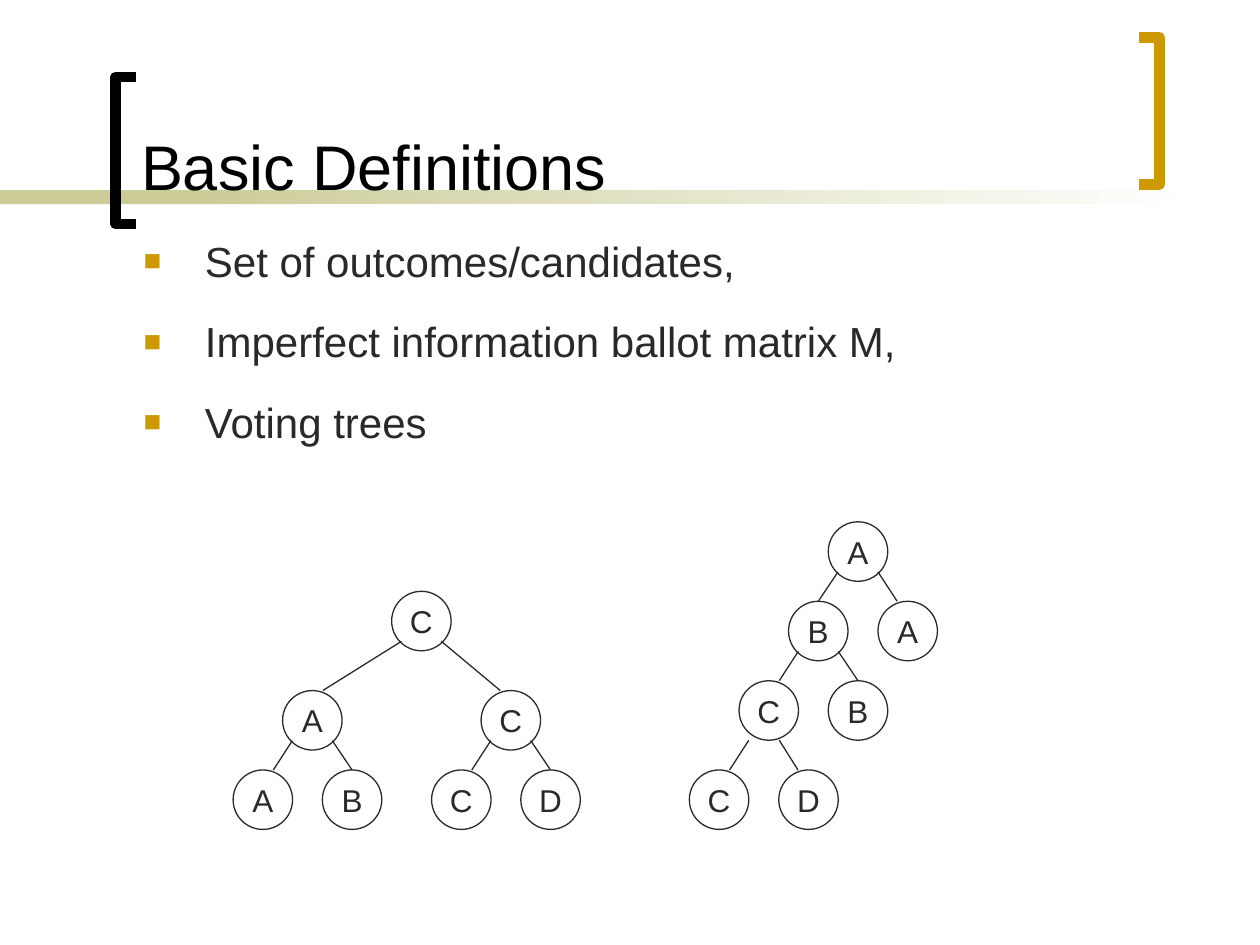
from typing import NamedTuple

from lxml import etree
from pptx import Presentation
from pptx.dml.color import RGBColor
from pptx.enum.shapes import MSO_CONNECTOR, MSO_SHAPE
from pptx.enum.text import MSO_ANCHOR, PP_ALIGN
from pptx.oxml.ns import qn
from pptx.util import Pt

LINE = MSO_CONNECTOR.STRAIGHT
RECT, OVAL = MSO_SHAPE.RECTANGLE, MSO_SHAPE.OVAL
MIDDLE, BOTTOM = MSO_ANCHOR.MIDDLE, MSO_ANCHOR.BOTTOM
CENTER = PP_ALIGN.CENTER

FONT = "Arial"
HEX = {"ink": "292929", "black": "000000", "gold": "CC9900",
       "sand": "CCCC99", "white": "FFFFFF"}
SIZE = 34  # node diameter


class Node(NamedTuple):
    text: str
    left: float
    top: float


class Edge(NamedTuple):
    """Line from a parent to a child; out and into are offsets from their centres."""
    parent: int
    child: int
    out: float
    into: float
    drop: float = 28.6


class Tree(NamedTuple):
    nodes: list[Node]
    edges: list[Edge]


class Bracket(NamedTuple):
    spine: float
    tip: float
    top: float
    color: str


BRACKETS = [Bracket(66, 78, 44, "black"), Bracket(662.6, 650.6, 21.4, "gold")]
BULLETS = ["Set of outcomes/candidates,",
           "Imperfect information ballot matrix M,",
           "Voting trees"]
TREES = [
    Tree([Node("C", 223.8, 337.9),
          Node("A", 161.5, 394.6), Node("C", 274.9, 394.6),
          Node("A", 133.2, 440), Node("B", 184.2, 440),
          Node("C", 246.6, 440), Node("D", 297.6, 440)],
         [Edge(0, 1, -11.4, 6), Edge(0, 2, 11.4, -6),
          Edge(1, 3, -11.4, 6), Edge(1, 4, 11.4, 0),
          Edge(2, 5, -11.4, 6), Edge(2, 6, 11.4, 0)]),
    Tree([Node("A", 473.3, 298.2),
          Node("B", 450.6, 343.6), Node("A", 501.7, 343.6),
          Node("C", 422.3, 389), Node("B", 473.3, 389),
          Node("C", 393.9, 440), Node("D", 445, 440)],
         [Edge(0, 1, -11.4, 0), Edge(0, 2, 11.4, -6),
          Edge(1, 3, -11.4, 6), Edge(1, 4, 11.4, 0),
          Edge(3, 5, -11.4, 6, SIZE), Edge(3, 6, 6, -6, SIZE)]),
]


def rgb(name: str) -> RGBColor:
    return RGBColor.from_string(HEX[name])


def style(font, size: float, color: str) -> None:
    font.name, font.size = FONT, Pt(size)
    font.color.rgb = rgb(color)


def stroke(shape, color: str, width: float) -> None:
    shape.line.color.rgb = rgb(color)
    shape.line.width = Pt(width)


def add_band(shapes, left: float, width: float):
    band = shapes.add_shape(RECT, Pt(left), Pt(108.7), Pt(width), Pt(8))
    band.shadow.inherit = False
    band.line.fill.background()
    return band


def add_bands(shapes) -> None:
    solid = add_band(shapes, 0, 168)
    solid.fill.solid()
    solid.fill.fore_color.rgb = rgb("sand")
    fade = add_band(shapes, 114, 570)
    fade.fill.gradient()
    fade.fill.gradient_angle = 0
    for stop, place, color in zip(fade.fill.gradient_stops, (0, 1), ("sand", "white")):
        stop.position = place
        stop.color.rgb = rgb(color)


def add_bracket(shapes, item: Bracket) -> None:
    end = item.top + 84
    path = shapes.build_freeform(Pt(item.tip), Pt(item.top))
    path.add_line_segments([(Pt(item.spine), Pt(item.top)),
                            (Pt(item.spine), Pt(end)),
                            (Pt(item.tip), Pt(end))], close=False)
    shape = path.convert_to_shape()
    shape.shadow.inherit = False
    shape.fill.background()
    stroke(shape, item.color, 6)


def add_title(shapes) -> None:
    frame = shapes.add_textbox(Pt(73.5), Pt(8), Pt(564), Pt(111.6)).text_frame
    frame.word_wrap = True
    frame.vertical_anchor = BOTTOM
    frame.text = "Basic Definitions"
    style(frame.paragraphs[0].font, 36, "black")


def add_mark(para) -> None:
    """Give a paragraph a hanging gold square bullet."""
    props = para._p.get_or_add_pPr()
    props.set("marL", str(Pt(35)))
    props.set("indent", str(-Pt(35)))
    color = etree.SubElement(props, qn("a:buClr"))
    etree.SubElement(color, qn("a:srgbClr"), val=HEX["gold"])
    etree.SubElement(props, qn("a:buSzPct"), val="70000")
    etree.SubElement(props, qn("a:buFont"), typeface=FONT)
    etree.SubElement(props, qn("a:buChar"), char="■")


def add_list(shapes) -> None:
    frame = shapes.add_textbox(Pt(75), Pt(131), Pt(603), Pt(338)).text_frame
    frame.word_wrap = True
    frame.text = "\n".join(BULLETS)
    for i, para in enumerate(frame.paragraphs):
        add_mark(para)
        if i:
            para.space_before = Pt(17.2)
        style(para.font, 24, "ink")


def add_node(shapes, node: Node) -> None:
    shape = shapes.add_shape(OVAL, Pt(node.left), Pt(node.top), Pt(SIZE), Pt(SIZE))
    shape.shadow.inherit = False
    shape.fill.background()
    stroke(shape, "ink", 0.75)
    frame = shape.text_frame
    frame.word_wrap = False
    frame.vertical_anchor = MIDDLE
    frame.text = node.text
    para = frame.paragraphs[0]
    para.alignment = CENTER
    style(para.font, 18, "ink")


def add_edge(shapes, nodes: list[Node], edge: Edge) -> None:
    start, end = nodes[edge.parent], nodes[edge.child]
    half = SIZE / 2
    line = shapes.add_connector(
        LINE, Pt(start.left + half + edge.out), Pt(start.top + edge.drop),
        Pt(end.left + half + edge.into), Pt(end.top))
    stroke(line, "ink", 0.75)
    etree.SubElement(line._element.spPr, qn("a:effectLst"))


def main() -> None:
    deck = Presentation()
    deck.slide_width, deck.slide_height = Pt(720), Pt(540)
    shapes = deck.slides.add_slide(deck.slide_layouts[6]).shapes
    add_bands(shapes)
    for item in BRACKETS:
        add_bracket(shapes, item)
    add_list(shapes)
    add_title(shapes)
    for tree in TREES:
        for node in tree.nodes:
            add_node(shapes, node)
        for edge in tree.edges:
            add_edge(shapes, tree.nodes, edge)
    deck.save("out.pptx")


if __name__ == "__main__":
    main()
